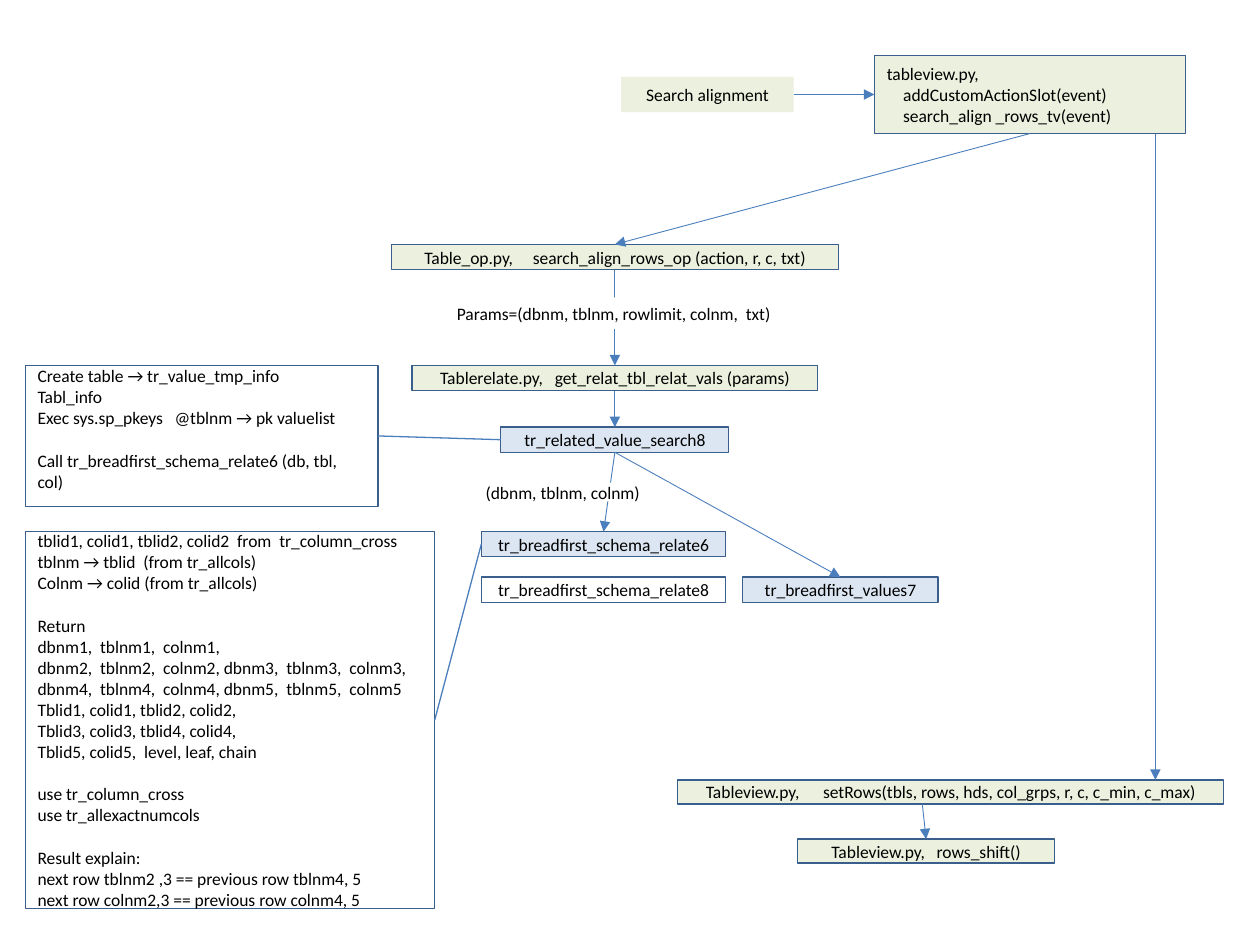
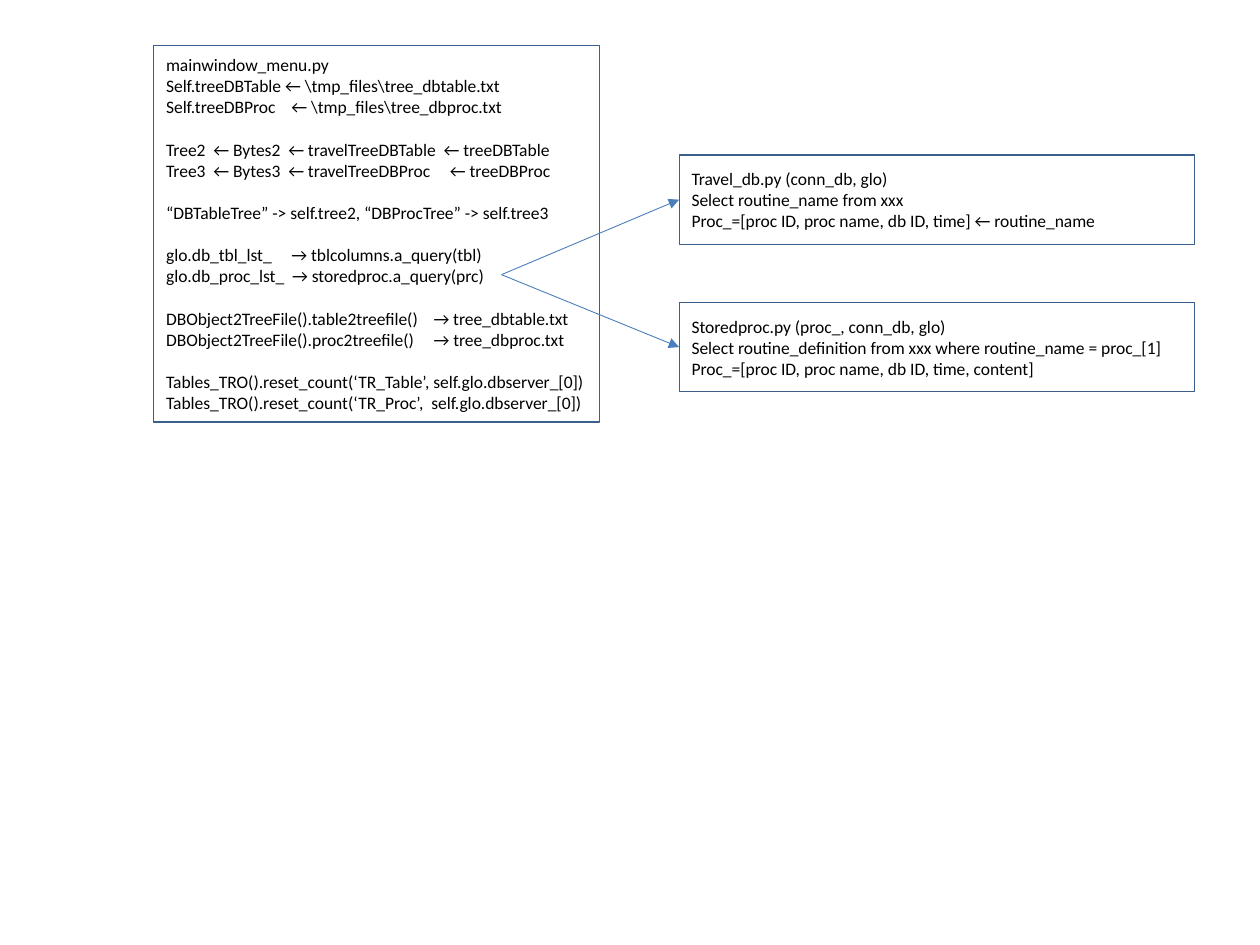
import dataclasses
import itertools

import lxml.etree
import pptx
import pptx.dml.color
import pptx.enum.shapes
import pptx.enum.text
import pptx.oxml.ns
import pptx.util

Inches = pptx.util.Inches
Pt = pptx.util.Pt
ALIGN = pptx.enum.text.PP_ALIGN
ANCHOR = pptx.enum.text.MSO_ANCHOR
TOP, LEFT, BOTTOM, RIGHT = range(4)


@dataclasses.dataclass(frozen=True)
class Theme:
    font: str = "Calibri"
    size: float = 10
    line_height: float = 12.2
    space_width: float = 2.26
    ink: str = "000000"
    paper: str = "FFFFFF"
    script: str = "EBF1DE"
    procedure: str = "DCE6F2"
    border: str = "3A5F8C"
    arrow: str = "4B7EBC"
    border_width: float = 0.75
    arrow_width: float = 0.5


@dataclasses.dataclass(frozen=True)
class Box:
    left: float
    top: float
    width: float
    height: float

    def inside(self, left, top, width, height):
        return Box(self.left + left, self.top + top, width, height)


THEME = Theme()


def color(value):
    return pptx.dml.color.RGBColor.from_string(value)


def write(frame, text, align=ALIGN.LEFT, anchor=ANCHOR.MIDDLE, hanging=0):
    """Blank lines become paragraph spacing; n bars make a gap n spaces wide."""
    frame.word_wrap = True
    frame.vertical_anchor = anchor
    frame.margin_left = frame.margin_right = Inches(0.1)
    frame.margin_top = frame.margin_bottom = 0
    para = None
    for block in text.strip("\n").split("\n\n"):
        for number, line in enumerate(block.split("\n")):
            first = para is None
            para = frame.paragraphs[0] if first else frame.add_paragraph()
            para.alignment = align
            if number == 0 and not first:
                para.space_before = Pt(THEME.line_height)
            if hanging and not first:
                para._p.get_or_add_pPr().set("marL", str(Inches(hanging)))
            for is_gap, letters in itertools.groupby(line, lambda letter: letter == "|"):
                piece = "".join(letters)
                span = para.add_run()
                span.text = " " if is_gap else piece
                span.font.name = THEME.font
                span.font.size = Pt(THEME.size)
                span.font.color.rgb = color(THEME.ink)
                if is_gap:
                    extra = round((len(piece) - 1) * THEME.space_width * 100)
                    span._r.get_or_add_rPr().set("spc", str(extra))


def panel(page, box, text, fill=THEME.paper, bordered=True, **text_format):
    shape = page.shapes.add_shape(
        pptx.enum.shapes.MSO_SHAPE.RECTANGLE,
        Inches(box.left), Inches(box.top), Inches(box.width), Inches(box.height))
    shape.shadow.inherit = False
    shape.fill.solid()
    shape.fill.fore_color.rgb = color(fill)
    if bordered:
        shape.line.color.rgb = color(THEME.border)
        shape.line.width = Pt(THEME.border_width)
    else:
        shape.line.fill.background()
    write(shape.text_frame, text, **text_format)
    return shape


def node(page, box, text, fill=THEME.script, **options):
    return panel(page, box, text, fill, align=ALIGN.CENTER, **options)


def link(page, start, end, arrow=True):
    """Each end is a (shape, side) pair or an (x, y) point in inches."""
    line = page.shapes.add_connector(pptx.enum.shapes.MSO_CONNECTOR.STRAIGHT, 0, 0, 0, 0)
    if isinstance(start[0], (int, float)):
        line.begin_x, line.begin_y = map(Inches, start)
    else:
        line.begin_connect(*start)
    if isinstance(end[0], (int, float)):
        line.end_x, line.end_y = map(Inches, end)
    else:
        line.end_connect(*end)
    line.line.color.rgb = color(THEME.arrow)
    line.line.width = Pt(THEME.arrow_width if arrow else THEME.border_width)
    if arrow:
        head = lxml.etree.SubElement(line.line._get_or_add_ln(), pptx.oxml.ns.qn("a:tailEnd"))
        head.set("type", "triangle")
    lxml.etree.SubElement(line._element.spPr, pptx.oxml.ns.qn("a:effectLst"))


SCHEMA_NOTES = """
tblid1, colid1, tblid2, colid2||from||tr_column_cross
tblnm → tblid||(from tr_allcols)
Colnm → colid (from tr_allcols)

Return
dbnm1,||tblnm1,||colnm1,
dbnm2,||tblnm2,||colnm2, dbnm3,||tblnm3,||colnm3,
dbnm4,||tblnm4,||colnm4, dbnm5,||tblnm5,||colnm5
Tblid1, colid1, tblid2, colid2,
Tblid3, colid3, tblid4, colid4,
Tblid5, colid5,||level, leaf, chain

use tr_column_cross
use tr_allexactnumcols

Result explain:
next row tblnm2 ,3 == previous row tblnm4, 5
next row colnm2,3 == previous row colnm4, 5
"""

SEARCH_NOTES = """
Create table → tr_value_tmp_info
Tabl_info
Exec sys.sp_pkeys|||@tblnm → pk valuelist

Call tr_breadfirst_schema_relate6 (db, tbl, col)
"""

MENU_NOTES = """
mainwindow_menu.py
Self.treeDBTable ← \\tmp_files\\tree_dbtable.txt
Self.treeDBProc||||← \\tmp_files\\tree_dbproc.txt

Tree2||← Bytes2||← travelTreeDBTable||← treeDBTable
Tree3||← Bytes3||← travelTreeDBProc|||||← treeDBProc

“DBTableTree” -> self.tree2, “DBProcTree” -> self.tree3

glo.db_tbl_lst_|||||→ tblcolumns.a_query(tbl)
glo.db_proc_lst_||→ storedproc.a_query(prc)

DBObject2TreeFile().table2treefile()||||→ tree_dbtable.txt
DBObject2TreeFile().proc2treefile()|||||→ tree_dbproc.txt

Tables_TRO().reset_count(‘TR_Table’, self.glo.dbserver_[0])
Tables_TRO().reset_count(‘TR_Proc’,||self.glo.dbserver_[0])
"""

TRAVEL_NOTES = """
Travel_db.py (conn_db, glo)
Select routine_name from xxx
Proc_=[proc ID, proc name, db ID, time] ← routine_name
"""

STORED_NOTES = """
Storedproc.py (proc_, conn_db, glo)
Select routine_definition from xxx where routine_name = proc_[1]
Proc_=[proc ID, proc name, db ID, time, content]
"""


def draw_entry(page, area):
    """Menu command and the event slots it triggers."""
    command = node(page, area.inside(0, 0.17, 1.37, 0.28), "Search alignment", bordered=False)
    slots = panel(
        page, area.inside(2.01, 0, 2.47, area.height),
        "tableview.py,\naddCustomActionSlot(event)\nsearch_align _rows_tv(event)",
        THEME.script, hanging=0.13)
    link(page, (command, RIGHT), (slots, LEFT))
    return slots


def draw_search_chain(page, area):
    """Calls from the table operation down to the database procedures."""
    axis, row = 1.77, 0.2

    def step(top, width, text, fill=THEME.script, center=axis, **options):
        return node(page, area.inside(center - width / 2, top, width, row), text, fill, **options)

    operation = step(0, 3.55, "Table_op.py,|||||search_align_rows_op (action, r, c, txt)")
    relate = step(0.96, 3.22, "Tablerelate.py,|||get_relat_tbl_relat_vals (params)")
    search = step(1.45, 1.81, "tr_related_value_search8", THEME.procedure)
    schema = step(2.28, 1.94, "tr_breadfirst_schema_relate6", THEME.procedure, 1.68)
    step(2.64, 1.94, "tr_breadfirst_schema_relate8", THEME.paper, 1.68)
    values = step(2.64, 1.55, "tr_breadfirst_values7", THEME.procedure, 3.56)

    for upper, lower in ((operation, relate), (relate, search),
                         (search, schema), (search, values)):
        link(page, (upper, BOTTOM), (lower, TOP))

    # Parameters laid over the arrows
    node(page, area.inside(0.39, 0.42, 2.74, 0.25),
         "Params=(dbnm, tblnm, rowlimit, colnm,||txt)", THEME.paper, bordered=False)
    node(page, area.inside(0.51, 1.89, 1.69, 0.15),
         "(dbnm, tblnm, colnm)", THEME.paper, bordered=False)
    return operation, search, schema


def draw_notes(page, area, search, schema):
    """Explanations tied to two of the procedures."""
    search_notes = panel(page, area.inside(0, 0, 2.8, 1.12), SEARCH_NOTES, anchor=ANCHOR.TOP)
    schema_notes = panel(page, area.inside(0, 1.32, area.width, 2.99), SCHEMA_NOTES)
    for procedure, notes in ((search, search_notes), (schema, schema_notes)):
        link(page, (procedure, LEFT), (notes, RIGHT), arrow=False)


def draw_refresh(page, area):
    """Table view update after the search."""
    node(page, area.inside(0, 0, area.width, 0.19),
         "Tableview.py,||||||setRows(tbls, rows, hds, col_grps, r, c, c_min, c_max)")
    shift = node(page, area.inside(0.95, 0.47, 2.04, 0.19), "Tableview.py,|||rows_shift()")
    link(page, (area.left + 1.94, area.top + 0.19), (shift, TOP))


def draw_search_page(page):
    entry = Box(4.93, 0.44, 4.48, 0.62)
    refresh = Box(5.38, 6.19, 4.33, 0.66)
    slots = draw_entry(page, entry)
    operation, search, schema = draw_search_chain(page, Box(3.11, 1.94, 4.33, 2.84))
    draw_notes(page, Box(0.2, 2.9, 3.25, 4.31), search, schema)
    draw_refresh(page, refresh)
    link(page, (slots, BOTTOM), (operation, TOP))
    link(page, (9.17, entry.top + entry.height), (9.17, refresh.top))


def draw_menu_page(page, area):
    """Main window menu and the two modules that serve its queries."""
    panel(page, area.inside(0, 0, 3.54, 2.99), MENU_NOTES)
    query = (area.left + 2.76, area.top + 1.82)
    for number, notes in enumerate((TRAVEL_NOTES, STORED_NOTES)):
        module = panel(page, area.inside(4.17, 0.87 + number * 1.17, 4.09, 0.71), notes)
        link(page, query, (module, LEFT))


def main():
    deck = pptx.Presentation()
    deck.slide_width, deck.slide_height = Inches(10), Inches(7.5)
    blank = deck.slide_layouts[6]
    draw_search_page(deck.slides.add_slide(blank))
    draw_menu_page(deck.slides.add_slide(blank), Box(1.22, 0.36, 8.26, 2.99))
    deck.save("out.pptx")


if __name__ == "__main__":
    main()
